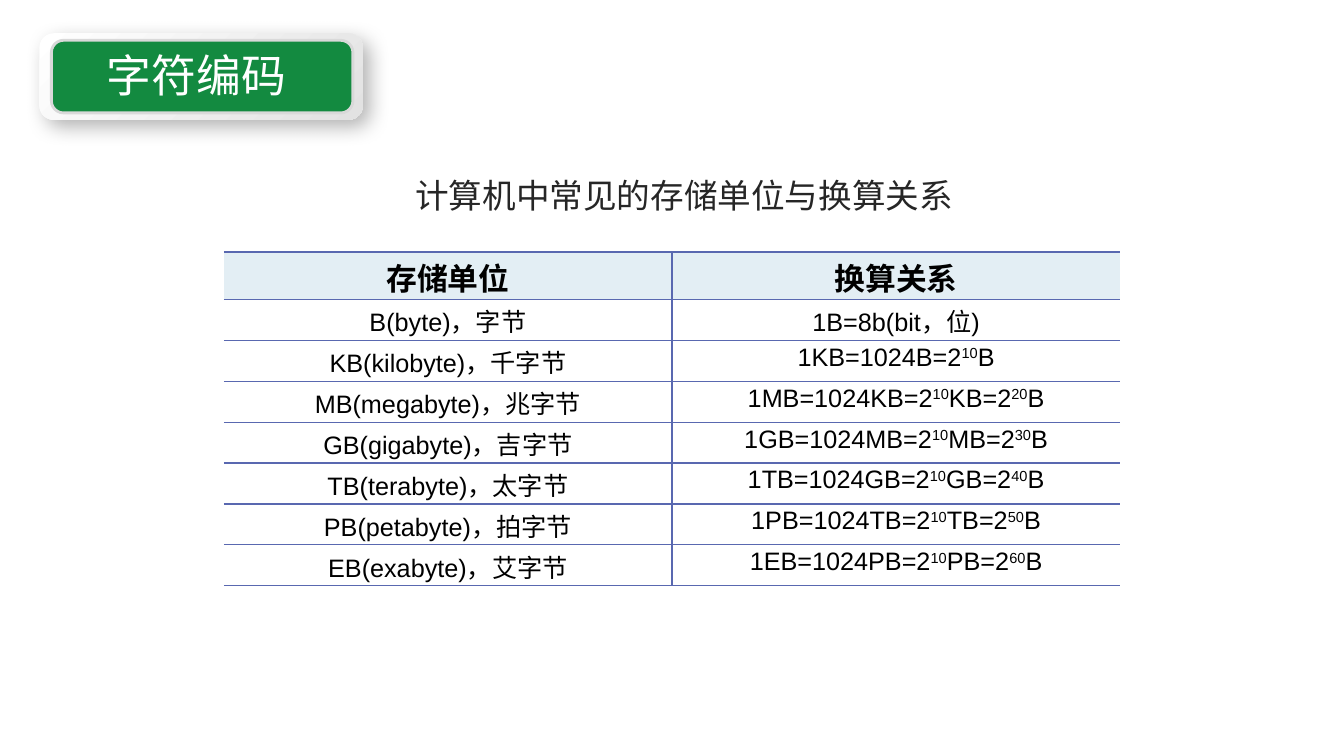
from dataclasses import dataclass

from lxml import etree
from pptx import Presentation
from pptx import util as u
from pptx.dml.color import RGBColor
from pptx.enum import shapes, text
from pptx.oxml import parse_xml
from pptx.oxml.ns import nsdecls, qn

Inches = u.Inches


@dataclass(frozen=True)
class Theme:
    green: str = "138A40"
    white: str = "FFFFFF"
    plate_edge: str = "E2E2E2"
    ring: str = "D9D9D9"
    rule: str = "5968B0"
    header_fill: str = "E3EEF4"
    ink: str = "000000"
    caption_ink: str = "262626"
    heading_font: str = "Noto Sans CJK JP"
    header_font: str = "Noto Sans CJK SC"
    body_font: str = "Arial"
    title_size: int = 32
    caption_size: int = 24
    header_size: int = 22
    body_size: int = 18


THEME = Theme()
UNITS = [
    ("B", "byte", "字节"),
    ("KB", "kilobyte", "千字节"),
    ("MB", "megabyte", "兆字节"),
    ("GB", "gigabyte", "吉字节"),
    ("TB", "terabyte", "太字节"),
    ("PB", "petabyte", "拍字节"),
    ("EB", "exabyte", "艾字节"),
]


def rgb(value):
    return RGBColor.from_string(value)


def style_font(paragraph, size, color, latin, east_asian, bold=False):
    font = paragraph.font
    font.size, font.bold, font.name = u.Pt(size), bold, latin
    font.color.rgb = rgb(color)
    for run in paragraph.runs:
        properties = run._r.get_or_add_rPr()
        etree.SubElement(properties, qn("a:ea")).set("typeface", east_asian)


def write_heading(box, words, place, size, color):
    box.left, box.top, box.width, box.height = map(Inches, place)
    frame = box.text_frame
    frame.word_wrap = True
    frame.auto_size = text.MSO_AUTO_SIZE.NONE
    frame.vertical_anchor = text.MSO_ANCHOR.TOP
    frame.text = words
    paragraph = frame.paragraphs[0]
    paragraph.alignment = text.PP_ALIGN.LEFT
    style_font(paragraph, size, color, THEME.heading_font, THEME.heading_font)


def add_rounded(group, place):
    shape = group.shapes.add_shape(
        shapes.MSO_SHAPE.ROUNDED_RECTANGLE, *map(Inches, place))
    shape.shadow.inherit = False
    return shape


def add_badge(slide):
    group = slide.shapes.add_group_shape()
    # Raised plate with a soft shadow
    plate = add_rounded(group, (0.39, 0.33, 3.21, 0.86))
    plate.fill.gradient()
    plate.fill.gradient_angle = 315
    for stop, color in zip(plate.fill.gradient_stops, (THEME.white, THEME.plate_edge)):
        stop.color.rgb = rgb(color)
    plate.line.fill.background()
    effects = plate._element.spPr.find(qn("a:effectLst"))
    effects.append(parse_xml(
        f'<a:outerShdw {nsdecls("a")} blurRad="{u.Pt(15)}" dist="{u.Pt(7)}" '
        'dir="2700000" algn="tl" rotWithShape="0"><a:srgbClr val="000000">'
        '<a:alpha val="30000"/></a:srgbClr></a:outerShdw>'))
    # Green face
    face = add_rounded(group, (0.51, 0.4, 2.99, 0.72))
    face.fill.solid()
    face.fill.fore_color.rgb = rgb(THEME.green)
    face.line.color.rgb = rgb(THEME.ring)
    face.line.width = u.Pt(2)


def set_borders(cell, visible):
    properties = cell._tc.get_or_add_tcPr()
    for index, side in enumerate("LRTB"):
        paint = (f'<a:solidFill><a:srgbClr val="{THEME.rule}"/></a:solidFill>'
                 if side in visible else "<a:noFill/>")
        properties.insert(index, parse_xml(
            f'<a:ln{side} {nsdecls("a")} w="{u.Pt(1)}">{paint}</a:ln{side}>'))


def conversion(index):
    """Pieces of one equation; every second piece is an exponent."""
    unit = UNITS[index][0]
    if index == 0:
        return ["1B=8b(bit，位)"]
    smaller = UNITS[index - 1][0]
    pieces = [f"1{unit}=1024{smaller}=2", "10"]
    if index > 1:
        pieces += [f"{smaller}=2", str(10 * index)]
    return pieces + ["B"]


def fill_cell(cell, pieces, column, header):
    # Fill, rules and margins
    if header:
        cell.fill.solid()
        cell.fill.fore_color.rgb = rgb(THEME.header_fill)
    else:
        cell.fill.background()
    set_borders(cell, "RTB" if column == 0 else "LTB")
    cell.margin_top, cell.margin_bottom = Inches(0.03), 0
    cell.vertical_anchor = text.MSO_ANCHOR.TOP
    # Words and exponents
    paragraph = cell.text_frame.paragraphs[0]
    paragraph.alignment = text.PP_ALIGN.CENTER
    for position, piece in enumerate(pieces):
        run = paragraph.add_run()
        run.text = piece
        if position % 2:
            run._r.get_or_add_rPr().set("baseline", "30000")
    style_font(paragraph,
               THEME.header_size if header else THEME.body_size, THEME.ink,
               THEME.header_font if header else THEME.body_font,
               THEME.header_font, header)


def add_unit_table(slide):
    rows = [(["存储单位"], ["换算关系"])]
    rows += [([f"{unit}({name})，{chinese}"], conversion(index))
             for index, (unit, name, chinese) in enumerate(UNITS)]
    height, header_height = Inches(3.31), Inches(0.47)
    table = slide.shapes.add_table(
        len(rows), 2, Inches(2.22), Inches(2.5), Inches(8.89), height).table
    table.horz_banding = False
    for index, row in enumerate(rows):
        table.rows[index].height = (
            header_height if index == 0 else (height - header_height) // len(UNITS))
        for column, pieces in enumerate(row):
            fill_cell(table.cell(index, column), pieces, column, index == 0)


def main():
    deck = Presentation()
    deck.slide_width, deck.slide_height = Inches(13.33), Inches(7.5)
    slide = deck.slides.add_slide(deck.slide_layouts[5])

    # Caption above the table
    caption = slide.shapes.add_textbox(0, 0, 0, 0)
    write_heading(caption, "计算机中常见的存储单位与换算关系",
                  (4.02, 1.69, 5.61, 0.5), THEME.caption_size, THEME.caption_ink)

    # Title in front of its badge
    add_badge(slide)
    title = slide.shapes.title
    slide.shapes.element.append(title.element)
    write_heading(title, "字符编码", (0.96, 0.42, 2.08, 0.64),
                  THEME.title_size, THEME.white)

    add_unit_table(slide)
    deck.save("out.pptx")


if __name__ == "__main__":
    main()
